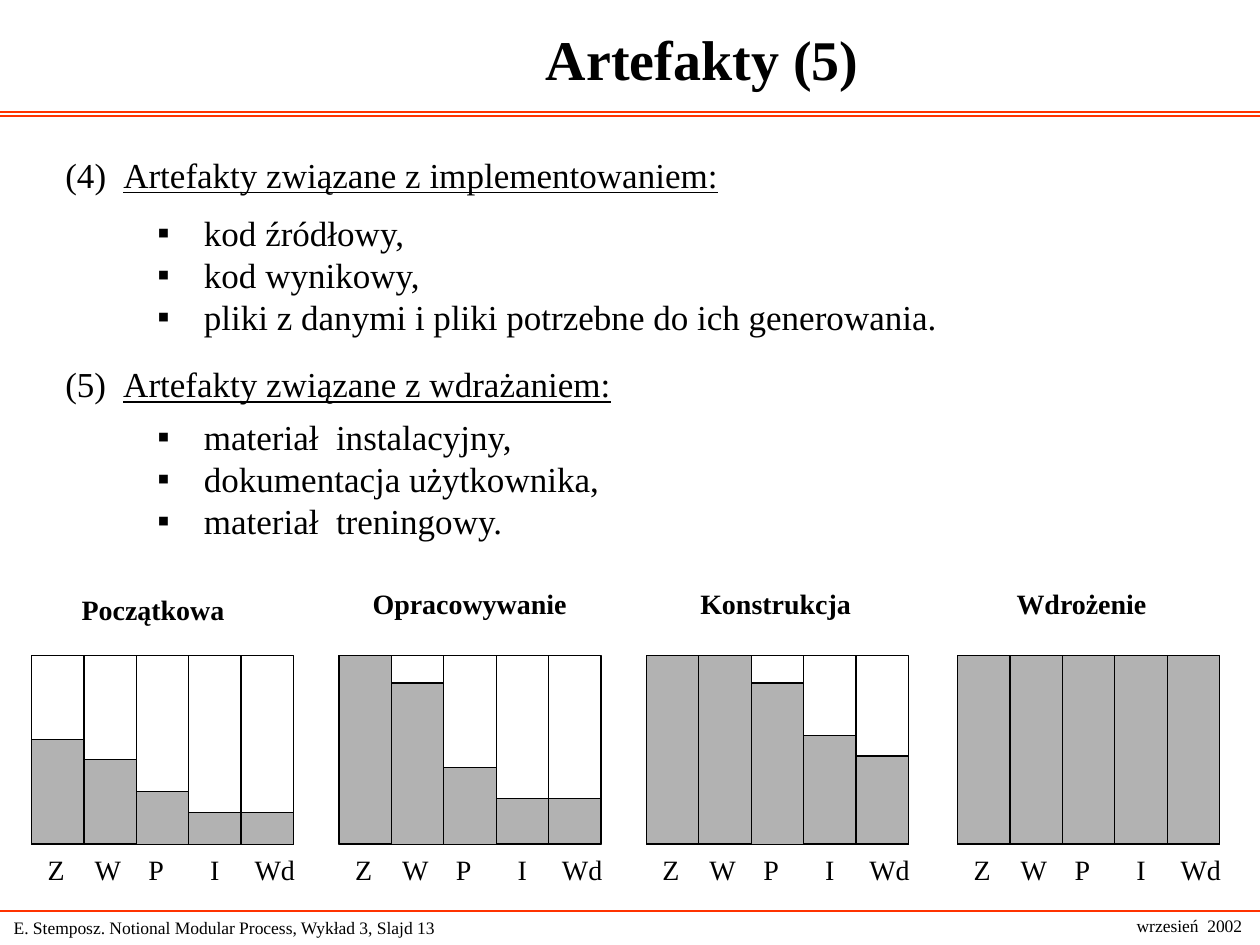
from dataclasses import dataclass

from lxml import etree
from pptx import Presentation
from pptx.dml.color import RGBColor
from pptx.enum import shapes, text
from pptx.oxml import ns
from pptx.util import Inches, Pt


@dataclass(frozen=True)
class Theme:
    font: str = "Times New Roman"
    ink: RGBColor = RGBColor(0, 0, 0)
    paper: RGBColor = RGBColor(255, 255, 255)
    bar: RGBColor = RGBColor(0xB2, 0xB2, 0xB2)
    rule: RGBColor = RGBColor(0xFF, 0x33, 0x00)
    line: float = 0.75
    title: int = 32
    body: int = 20
    bullet_leading: int = 24
    panel: int = 16
    footer: int = 10


THEME = Theme()
LEFT, CENTER = text.PP_ALIGN.LEFT, text.PP_ALIGN.CENTER

TITLE = "Artefakty (5)"
# text, box, whether it wraps, alignment
FOOTERS = [
    ("E. Stemposz. Notional Modular Process, Wykład 3, Slajd 13",
     (0.01, 7.23, 4.48, 0.27), True, LEFT),
    ("wrzesień  2002", (8.92, 7.21, 1.04, 0.27), False, CENTER),
]
RULES = [0.89, 0.92, 7.23]
# number, heading, heading box, bullets, bullet box
SECTIONS = [
    ("(4)", "Artefakty związane z implementowaniem:", (0.42, 1.17, 5.58, 0.44),
     ["kod źródłowy,", "kod wynikowy,",
      "pliki z danymi i pliki potrzebne do ich generowania."],
     (1.15, 1.63, 6.68, 1.1)),
    ("(5)", "Artefakty związane z wdrażaniem:", (0.42, 2.83, 4.67, 0.44),
     ["materiał  instalacyjny,", "dokumentacja użytkownika,",
      "materiał  treningowy."],
     (1.15, 3.25, 3.93, 1.1)),
]
# phase, caption box, panel left, bar heights
PHASES = [
    ("Początkowa", (0.55, 4.65, 1.36, 0.37), 0.25,
     [0.83, 0.67, 0.42, 0.25, 0.25]),
    ("Opracowywanie", (2.86, 4.61, 1.77, 0.37), 2.69,
     [1.5, 1.28, 0.61, 0.36, 0.36]),
    ("Konstrukcja", (5.46, 4.61, 1.42, 0.37), 5.13,
     [1.5, 1.5, 1.28, 0.86, 0.7]),
    ("Wdrożenie", (7.97, 4.61, 1.26, 0.37), 7.6, [1.5] * 5),
]
# label, offset from the panel's left, width
LABELS = [("Z", 0.03, 0.33), ("W", 0.4, 0.41), ("P", 0.83, 0.32),
          ("I", 1.32, 0.27), ("Wd", 1.67, 0.52)]
PANEL_TOP, PANEL_WIDTH, PANEL_HEIGHT = 5.2, 2.08, 1.5
LABEL_TOP, LABEL_HEIGHT = 6.72, 0.37
NUMBER_TAB, BULLET_INDENT = 0.46, 0.37


def style(font, size, bold=False):
    font.name, font.size, font.bold = THEME.font, Pt(size), bold
    font.color.rgb = THEME.ink


def add_text(parent, lines, area, size, wrap=True, align=LEFT, bold=False,
             anchor=text.MSO_ANCHOR.TOP):
    box = parent.add_textbox(*map(Inches, area))
    frame = box.text_frame
    frame.text = "\n".join(lines)
    frame.word_wrap, frame.vertical_anchor = wrap, anchor
    for para in frame.paragraphs:
        para.alignment = align
        for span in para.runs:
            style(span.font, size, bold)
    return frame.paragraphs


def add_line(parent, x1, y1, x2, y2, colour):
    line = parent.add_connector(shapes.MSO_CONNECTOR.STRAIGHT,
                                *map(Inches, (x1, y1, x2, y2)))
    line.line.color.rgb, line.line.width = colour, Pt(THEME.line)
    etree.SubElement(line._element.spPr, ns.qn("a:effectLst"))


def add_rectangle(parent, area, fill):
    box = parent.add_shape(shapes.MSO_SHAPE.RECTANGLE, *map(Inches, area))
    box.shadow.inherit = False
    box.fill.solid()
    box.fill.fore_color.rgb = fill
    box.line.color.rgb, box.line.width = THEME.ink, Pt(THEME.line)


def add_heading(page, number, heading, area):
    """Numbered heading, underlined after a tab stop."""
    para = add_text(page.shapes, [number + "\t"], area, THEME.body)[0]
    tabs = etree.SubElement(para._p.get_or_add_pPr(), ns.qn("a:tabLst"))
    etree.SubElement(tabs, ns.qn("a:tab"), pos=str(Inches(NUMBER_TAB)), algn="l")
    span = para.add_run()
    span.text = heading
    style(span.font, THEME.body)
    span.font.underline = True


def add_bullets(page, items, area):
    for para in add_text(page.shapes, items, area, THEME.body):
        para.line_spacing = Pt(THEME.bullet_leading)
        props = para._p.get_or_add_pPr()
        props.set("marL", str(Inches(BULLET_INDENT)))
        props.set("indent", str(-Inches(BULLET_INDENT)))
        etree.SubElement(props, ns.qn("a:buFont"), typeface=THEME.font)
        etree.SubElement(props, ns.qn("a:buChar"), char="▪")


def add_phase(page, name, caption_area, left, heights):
    """Captioned panel of bars, one column for each label."""
    group = page.shapes.add_group_shape().shapes
    bottom = PANEL_TOP + PANEL_HEIGHT
    step = PANEL_WIDTH / len(LABELS)
    add_text(group, [name], caption_area, THEME.panel, wrap=False, bold=True)
    add_rectangle(group, (left, PANEL_TOP, PANEL_WIDTH, PANEL_HEIGHT), THEME.paper)
    for column in range(1, len(LABELS)):
        x = left + column * step
        add_line(group, x, PANEL_TOP, x, bottom, THEME.ink)
    for column, height in enumerate(heights):
        add_rectangle(group, (left + column * step, bottom - height, step, height),
                      THEME.bar)
    for label, offset, width in LABELS:
        add_text(group, [label], (left + offset, LABEL_TOP, width, LABEL_HEIGHT),
                 THEME.panel, wrap=False, align=CENTER)


def add_title(page):
    box = page.shapes.title
    box.left, box.top, box.width, box.height = map(Inches, (1.16, 0, 8.83, 0.92))
    frame = box.text_frame
    frame.text = TITLE
    frame.vertical_anchor = text.MSO_ANCHOR.MIDDLE
    para = frame.paragraphs[0]
    para.alignment = CENTER
    style(para.runs[0].font, THEME.title, bold=True)


def main():
    deck = Presentation()
    deck.slide_width, deck.slide_height = Inches(10), Inches(7.5)
    page = deck.slides.add_slide(deck.slide_layouts[5])
    for y in RULES:
        add_line(page.shapes, 0, y, 10, y, THEME.rule)
    for words, area, wrap, align in FOOTERS:
        add_text(page.shapes, [words], area, THEME.footer, wrap, align,
                 anchor=text.MSO_ANCHOR.MIDDLE)
    add_title(page)
    for number, heading, heading_area, items, items_area in SECTIONS:
        add_heading(page, number, heading, heading_area)
        add_bullets(page, items, items_area)
    for phase in PHASES:
        add_phase(page, *phase)
    deck.save("out.pptx")


if __name__ == "__main__":
    main()
